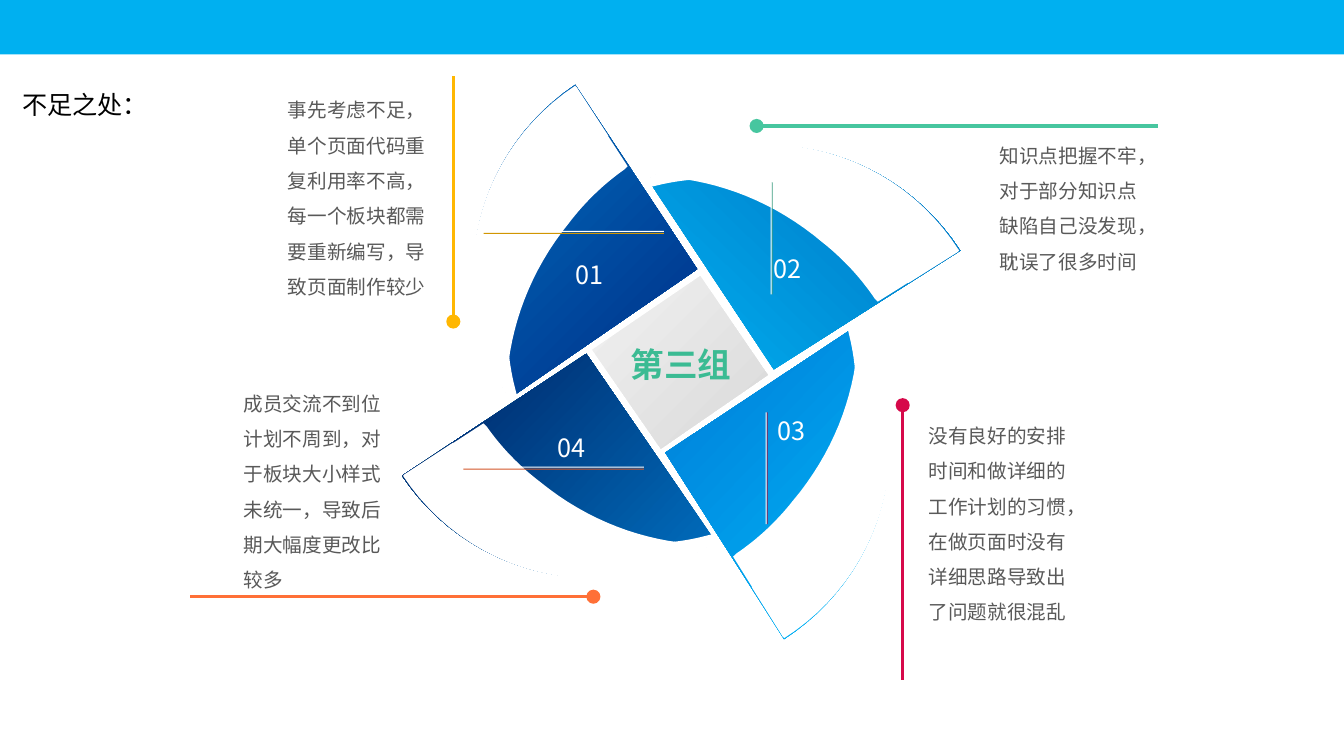
from math import cos, radians, sin

from lxml.etree import SubElement
from pptx import Presentation
from pptx.dml.color import RGBColor
from pptx.enum.shapes import MSO_CONNECTOR, MSO_SHAPE
from pptx.enum.text import MSO_ANCHOR, PP_ALIGN
from pptx.oxml.ns import qn
from pptx.util import Inches, Pt

BLACK = RGBColor(0x00, 0x00, 0x00)
WHITE = RGBColor(0xFF, 0xFF, 0xFF)
GREY = RGBColor(0x59, 0x59, 0x59)
SKY = RGBColor(0x00, 0xB0, 0xF0)
BLUE = RGBColor(0x00, 0x70, 0xC0)
NAVY = RGBColor(0x00, 0x20, 0x60)
ROYAL = RGBColor(0x00, 0x2D, 0x86)
CYAN = RGBColor(0x00, 0xB9, 0xFA)
AZURE = RGBColor(0x00, 0x7A, 0xD6)
PALE = RGBColor(0xF2, 0xF2, 0xF2)
SILVER = RGBColor(0xD8, 0xD8, 0xD8)
GREEN = RGBColor(0x3B, 0xBB, 0x93)
MINT = RGBColor(0x47, 0xC6, 0x9F)
ROSE = RGBColor(0xD6, 0x09, 0x4A)
ORANGE = RGBColor(0xFF, 0x70, 0x37)
AMBER = RGBColor(0xFF, 0xB7, 0x02)
PINE = RGBColor(0x3D, 0x9E, 0x80)
WINE = RGBColor(0xA2, 0x0D, 0x3D)
RUST = RGBColor(0xD3, 0x56, 0x28)
OCHRE = RGBColor(0xD1, 0x96, 0x02)
CJK = "Noto Sans CJK SC"

# Outlines of the first blade: pairs are corners, sixes are curves.
HOME = (5.81, 2.4)
SAIL = [(5.71, 0.84), (5.1, 1.25, 4.7, 1.94, 4.7, 2.72),
        (4.7, 3.18, 4.83, 3.6, 5.06, 3.95), (6.92, 2.67)]
MASKS = [
    [(5.71, 0.85), (6.23, 1.65), (6.2, 1.68),
     (6, 1.82, 5.81, 2, 5.65, 2.21), (5.26, 2.69, 5.06, 3.24, 5.03, 3.79),
     (5.03, 3.92), (4.97, 3.82), (4.79, 3.5, 4.69, 3.13, 4.69, 2.74),
     (4.69, 1.95, 5.09, 1.26, 5.71, 0.85)],
    [(5.72, 0.86), (6.04, 1.35), (6.01, 1.36),
     (5.54, 1.71, 5.19, 2.24, 5.08, 2.87), (5.02, 3.19, 5.03, 3.5, 5.1, 3.8),
     (5.13, 3.92), (5.06, 3.97), (4.84, 3.61, 4.7, 3.19, 4.7, 2.74),
     (4.7, 1.95, 5.1, 1.26, 5.72, 0.86)],
]
HUB = [(7.62, 3.72), (6.56, 4.45), (5.88, 3.47), (6.95, 2.74)]

# Centre, turn, colours and gradient angle
BLADES = [
    ((5.55, 4.62), 270, BLUE, NAVY, 224),
    ((7.71, 4.78), 181, CYAN, AZURE, 224),
    ((7.97, 2.56), 91, SKY, BLUE, 314),
    (HOME, 0, BLUE, ROYAL, 45),
]
# Number, its corner, rule corner, rule size, rule colour
MARKS = [
    ("01", (5.61, 2.52), (4.8, 2.31), (1.79, 0.01), OCHRE),
    ("02", (7.58, 2.46), (7.66, 1.81), (0.01, 1.11), PINE),
    ("03", (7.62, 4.07), (7.61, 4.09), (0.01, 1.11), WINE),
    ("04", (5.44, 4.24), (4.6, 4.65), (1.79, 0.01), RUST),
]
# Text, box, dot offset from the box, reach of the line, colour, alignment
NOTES = [
    ("事先考虑不足，单个页面代码重复利用率不高，每一个板块都需要重新编写，导致页面制作较少",
     (2.76, 0.81, 1.73, 2.2), (1.74, 2.38), (0, -2.44), AMBER, PP_ALIGN.LEFT),
    ("知识点把握不牢，对于部分知识点缺陷自己没发现，耽误了很多时间",
     (9.74, 1.26, 1.73, 1.5), (-2.23, -0.01), (3.98, 0), MINT, PP_ALIGN.CENTER),
    ("没有良好的安排时间和做详细的工作计划的习惯，在做页面时没有详细思路导致出了问题就很混乱",
     (9.12, 4.04, 1.73, 2.2), (-0.16, -0.02), (0, 2.73), ROSE, PP_ALIGN.LEFT),
    ("成员交流不到位计划不周到，对于板块大小样式未统一，导致后期大幅度更改比较多",
     (2.32, 3.72, 1.73, 2.55), (3.57, 2.2), (-4, 0), ORANGE, PP_ALIGN.LEFT),
]


def paint(shape, first, last=None, angle=0):
    """Fill with one colour, or with a gradient at a clockwise angle."""
    shape.shadow.inherit = False
    shape.line.fill.background()
    if last is None:
        shape.fill.solid()
        shape.fill.fore_color.rgb = first
        return
    shape.fill.gradient()
    shape.fill.gradient_angle = 360 - angle
    for stop, color in zip(shape.fill.gradient_stops, (first, last)):
        stop.color.rgb = color


def block(slide, kind, box, color):
    shape = slide.shapes.add_shape(kind, *map(Inches, box))
    paint(shape, color)


def trace(outline, steps=16):
    """Turn corners and cubic curves into a list of points."""
    points = []
    for part in outline:
        if len(part) == 2:
            points.append(part)
            continue
        knots = [points[-1], part[:2], part[2:4], part[4:]]
        for step in range(1, steps + 1):
            t = step / steps
            u = 1 - t
            weights = (u ** 3, 3 * u * u * t, 3 * u * t * t, t ** 3)
            points.append(tuple(sum(w * k[axis] for w, k in zip(weights, knots))
                                for axis in (0, 1)))
    return points


def spin(points, center, turn):
    """Move points from the first blade to a new centre and turn them."""
    c, s = cos(radians(turn)), sin(radians(turn))
    moved = [(x - HOME[0], y - HOME[1]) for x, y in points]
    return [(center[0] + x * c - y * s, center[1] + x * s + y * c)
            for x, y in moved]


def draw(slide, points):
    spots = [(Inches(x), Inches(y)) for x, y in points]
    pen = slide.shapes.build_freeform(*spots[0])
    pen.add_line_segments(spots[1:], close=True)
    return pen.convert_to_shape()


def write(shape, text, size, color, font, wrap=True, bold=False,
          align=PP_ALIGN.LEFT, space=1):
    frame = shape.text_frame
    frame.text = text
    frame.word_wrap = wrap
    frame.vertical_anchor = MSO_ANCHOR.TOP
    para = frame.paragraphs[0]
    para.alignment = align
    para.line_spacing = space
    run = para.runs[0]
    run.font.size = Pt(size)
    run.font.bold = bold
    run.font.name = font
    run.font.color.rgb = color
    SubElement(run.font._element, qn("a:ea")).set("typeface", CJK)


def label(slide, box, *args, **style):
    write(slide.shapes.add_textbox(*map(Inches, box)), *args, **style)


def head(slide, box):
    left, top, width, height = box
    block(slide, MSO_SHAPE.RECTANGLE, box, SKY)
    title = slide.shapes.title
    title.left, title.top = Inches(left + 0.16), Inches(top + 0.84)
    title.width, title.height = Inches(1.63), Inches(0.4)
    write(title, "不足之处：", 18, BLACK, "Arial")


def blade(slide, center, turn, first, last, angle):
    paint(draw(slide, spin(trace(SAIL), center, turn)), first, last, angle)
    for mask in MASKS:
        paint(draw(slide, spin(trace(mask), center, turn)), WHITE)


def hub(slide):
    paint(draw(slide, HUB), PALE, SILVER, 45)
    label(slide, (6.16, 3.16, 1.2, 0.7), "第三组", 24, GREEN, CJK,
          wrap=False, bold=True, space=1.5)


def mark(slide, text, spot, corner, size, color):
    """Number of a blade, with a coloured rule and its white edge."""
    label(slide, (*spot, 0.5, 0.4), text, 18, WHITE, "Noto Sans CJK JP",
          wrap=False)
    x, y = corner
    edge = (x - 0.01, y) if size[0] < size[1] else (x, y - 0.02)
    block(slide, MSO_SHAPE.RECTANGLE, (*corner, *size), color)
    block(slide, MSO_SHAPE.RECTANGLE, (*edge, *size), WHITE)


def note(slide, text, box, dot, reach, color, align):
    """Paragraph with a line that starts at a dot."""
    x, y = box[0] + dot[0], box[1] + dot[1]
    ends = (x, y, x + reach[0], y + reach[1])
    line = slide.shapes.add_connector(MSO_CONNECTOR.STRAIGHT, *map(Inches, ends))
    line.line.color.rgb = color
    line.line.width = Pt(2.25)
    SubElement(line._element.spPr, qn("a:effectLst"))
    block(slide, MSO_SHAPE.OVAL, (x - 0.07, y - 0.07, 0.14, 0.14), color)
    label(slide, box, text, 14, GREY, "Calibri", align=align, space=1.5)


def main():
    deck = Presentation()
    deck.slide_width, deck.slide_height = Inches(13.34), Inches(7.5)
    slide = deck.slides.add_slide(deck.slide_layouts[5])
    head(slide, (-0.04, 0, 13.38, 0.54))
    for item in BLADES:
        blade(slide, *item)
    hub(slide)
    for item in MARKS:
        mark(slide, *item)
    for item in NOTES:
        note(slide, *item)
    deck.save("out.pptx")


if __name__ == "__main__":
    main()
